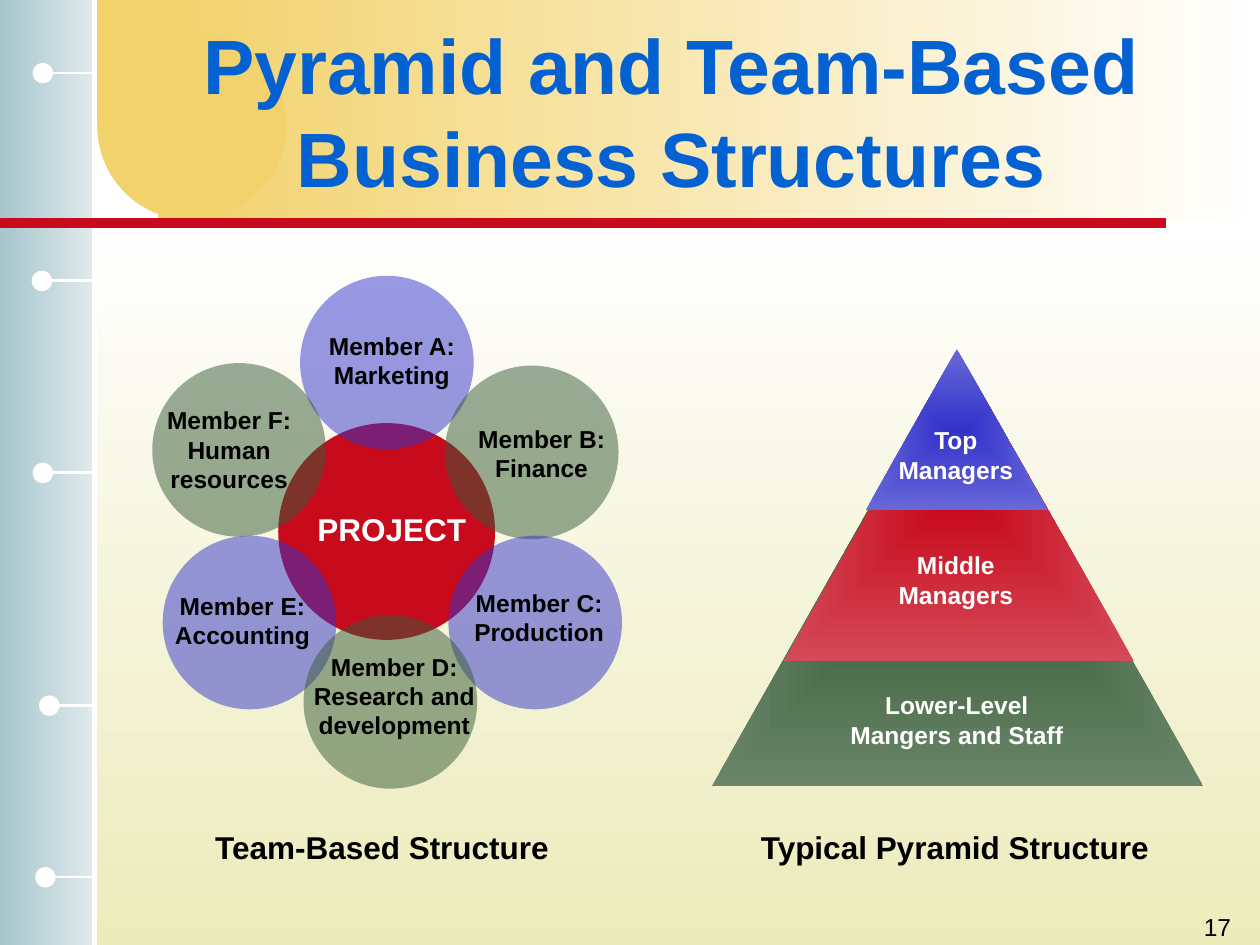
"""Build a slide comparing a team-based structure with a typical pyramid structure."""
import lxml.etree
import pptx
import pptx.dml.color
import pptx.enum.dml
import pptx.enum.shapes
import pptx.enum.text
import pptx.oxml.ns
import pptx.util

Cm = pptx.util.Cm
qn = pptx.oxml.ns.qn
SHAPE = pptx.enum.shapes.MSO_SHAPE
ALIGN = pptx.enum.text.PP_ALIGN
ANCHOR = pptx.enum.text.MSO_ANCHOR
AUTO_SIZE = pptx.enum.text.MSO_AUTO_SIZE

RED, BLUE, GREEN = "C70B1D", "3333CC", "355B35"
WHITE, BLACK, GOLD = "FFFFFF", "000000", "F2D26C"


def color(hex_value):
    return pptx.dml.color.RGBColor.from_string(hex_value)


def draw(geometry, place, colors, angle=0):
    shape = slide.shapes.add_shape(geometry, *[Cm(length) for length in place])
    shape.shadow.inherit = False
    shape.line.fill.background()
    if len(colors) == 1:
        shape.fill.solid()
        shape.fill.fore_color.rgb = color(colors[0])
    else:
        shape.fill.gradient()
        shape.fill.gradient_angle = angle
        for stop, hex_value in zip(shape.fill.gradient_stops, colors):
            stop.color.rgb = color(hex_value)
    return shape


presentation = pptx.Presentation()
presentation.slide_width = Cm(25.4)
presentation.slide_height = Cm(19.05)
slide = presentation.slides.add_slide(presentation.slide_layouts[5])

panels = [
    (SHAPE.RECTANGLE, (1.85, 4.5, 23.55, 14.55), [WHITE, "ECEBBB"], 270),
    (SHAPE.RECTANGLE, (0, 0, 1.9, 19.05), ["A6C5CC", "E0EAEC"], 0),
    (SHAPE.RECTANGLE, (3.18, 0, 22.22, 4.45), [GOLD, WHITE], 0),
    (SHAPE.OVAL, (1.96, 0.63, 3.81, 3.81), [GOLD], 0),
    (SHAPE.RECTANGLE, (1.96, 0, 1.7, 2.44), [GOLD], 0),
]
for panel in panels:
    draw(*panel)

rungs = [
    (2.97, 0.84, 5.66, 0.64),
    (1.9, 1.07, 1.47, 0.66),
    (1.85, 1.02, 9.53, 0.66),
    (1.9, 1.07, 14.22, 0.79),
    (1.85, 1.02, 17.68, 0.71),
]
lines = [((1.9, 0, 1.9, 19.05), WHITE, 3), ((0, 4.5, 23.5, 4.5), RED, 6)]
lines += [((start, y, end, y), WHITE, 1.5) for start, end, y, knob in rungs]
for ends, hex_value, width in lines:
    connector = slide.shapes.add_connector(
        pptx.enum.shapes.MSO_CONNECTOR.STRAIGHT, *[Cm(length) for length in ends])
    connector.line.color.rgb = color(hex_value)
    connector.line.width = pptx.util.Pt(width)
    lxml.etree.SubElement(connector.element.spPr, qn("a:effectLst"))
for start, end, y, knob in rungs:
    draw(SHAPE.OVAL, (knob, y - 0.2, 0.41, 0.41), [WHITE])

title = slide.shapes.title
title.element.getparent().append(title.element)
title_format = {"left": 2.74, "top": 0.63, "width": 21.59, "height": 3.18}
for name, length in title_format.items():
    setattr(title, name, Cm(length))
title.text_frame.auto_size = AUTO_SIZE.NONE
title.text_frame.vertical_anchor = ANCHOR.MIDDLE

pyramid_levels = [
    ((14.35, 7.11, 9.91, 8.74), [GREEN, "698569"]),
    ((15.8, 7.11, 7.06, 6.22), [RED, "D44A58"]),
    ((17.45, 7.04, 3.68, 3.25), [BLUE, "6868D8"]),
]
for place, colors in pyramid_levels:
    level = draw(SHAPE.ISOSCELES_TRIANGLE, place, colors)
    gradient = level.element.spPr.find(qn("a:gradFill"))
    gradient.remove(gradient.find(qn("a:lin")))
    center = lxml.etree.SubElement(gradient, qn("a:path"), path="rect")
    lxml.etree.SubElement(center, qn("a:fillToRect"),
                          {side: "50000" for side in "ltrb"})

draw(SHAPE.OVAL, (5.61, 8.53, 4.37, 4.37), [RED])
members = [
    (6.05, 5.56, BLUE),
    (3.07, 7.32, GREEN),
    (8.97, 7.37, GREEN),
    (9.04, 10.8, BLUE),
    (3.28, 10.8, BLUE),
    (6.12, 12.4, GREEN),
]
for left, top, hex_value in members:
    circle = draw(SHAPE.OVAL, (left, top, 3.5, 3.5), [hex_value])
    for fill_color in circle.element.spPr.iter(qn("a:srgbClr")):
        lxml.etree.SubElement(fill_color, qn("a:alpha"), val="50000")

labels = [
    ((17.77, 8.45, 3, 1.45), ["Top", "Managers"], 14, WHITE, ALIGN.CENTER),
    ((17.77, 10.97, 3, 1.45), ["Middle", "Managers"], 14, WHITE, ALIGN.CENTER),
    ((16.79, 13.79, 5, 1.45), ["Lower-Level", "Mangers and Staff"], 14, WHITE, ALIGN.CENTER),
    ((6.15, 10.16, 3.5, 1.02), ["PROJECT"], 18, WHITE, ALIGN.CENTER),
    ((6.3, 6.55, 3.2, 1.45), ["Member A:", "Marketing"], 14, BLACK, ALIGN.CENTER),
    ((9.32, 8.42, 3.2, 1.45), ["Member B:", "Finance"], 14, BLACK, ALIGN.CENTER),
    ((9.22, 11.73, 3.3, 1.45), ["Member C:", "Production"], 14, BLACK, ALIGN.CENTER),
    ((6, 13.01, 3.9, 2.03), ["Member D:", "Research and", "development"], 14, BLACK, ALIGN.CENTER),
    ((3.19, 11.79, 3.4, 1.45), ["Member E:", "Accounting"], 14, BLACK, ALIGN.CENTER),
    ((3.02, 8.05, 3.2, 2.03), ["Member F:", "Human", "resources"], 14, BLACK, ALIGN.CENTER),
    ((4.09, 16.56, 7.26, 1.02), ["Team-Based Structure"], 18, BLACK, ALIGN.LEFT),
    ((15.09, 16.56, 8.38, 1.02), ["Typical Pyramid Structure"], 18, BLACK, ALIGN.LEFT),
    ((19.79, 18.26, 5.28, 0.79), ["17"], 14, BLACK, ALIGN.RIGHT),
]
texts = [(title, ["Pyramid and Team-Based Business Structures"], 44, "0461D2", ALIGN.CENTER)]
for place, wording, size, hex_value, alignment in labels:
    box = slide.shapes.add_textbox(*[Cm(length) for length in place])
    is_number = alignment == ALIGN.RIGHT
    box.text_frame.word_wrap = is_number
    box.text_frame.auto_size = AUTO_SIZE.NONE if is_number else AUTO_SIZE.SHAPE_TO_FIT_TEXT
    texts.append((box, wording, size, hex_value, alignment))

for shape, wording, size, hex_value, alignment in texts:
    shape.text_frame.text = "\n".join(wording)
    font_format = {"name": "Arial", "size": pptx.util.Pt(size), "bold": alignment != ALIGN.RIGHT}
    for paragraph in shape.text_frame.paragraphs:
        paragraph.alignment = alignment
        for name, value in font_format.items():
            setattr(paragraph.font, name, value)
        paragraph.font.color.rgb = color(hex_value)

presentation.save("out.pptx")
